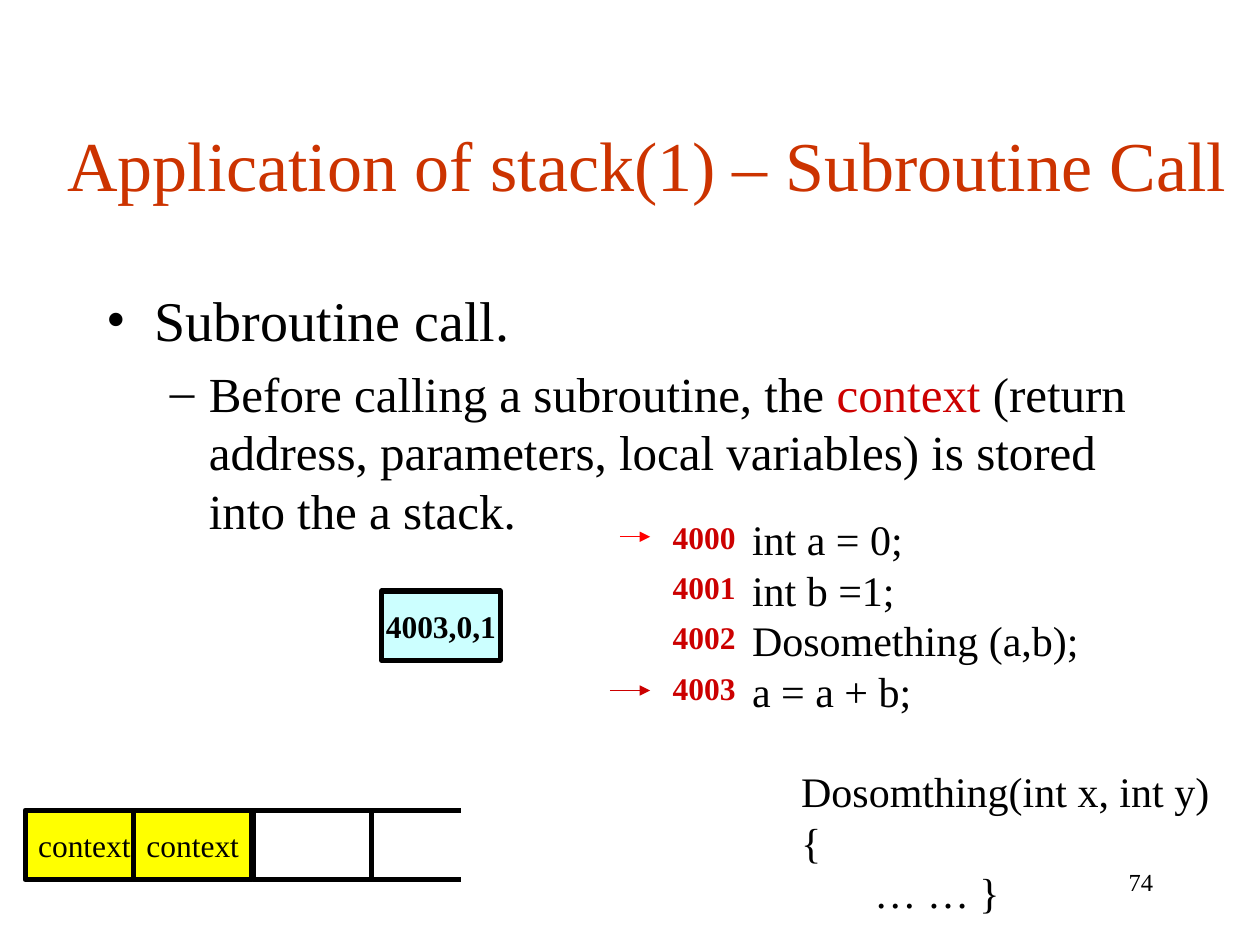
from dataclasses import dataclass

from lxml import etree
from pptx import Presentation
from pptx.dml.color import RGBColor
from pptx.enum import shapes, text
from pptx.oxml.ns import qn
from pptx.util import Inches, Pt


@dataclass(frozen=True)
class Theme:
    font: str = "Times New Roman"
    title: str = "CC3300"
    ink: str = "000000"
    accent: str = "CC0000"
    arrow: str = "FF0000"
    stored: str = "FFFF00"
    frame: str = "CCFFFF"
    title_pt: int = 40
    bullet_pt: int = 32
    sub_pt: int = 28
    code_pt: int = 24
    label_pt: int = 18
    number_pt: int = 14
    border_pt: float = 3
    arrow_pt: float = 0.75


T = Theme()
CELL_W, CELL_H = 0.94, 0.55


def add_run(p, words, size, color=T.ink, bold=False):
    r = p.add_run()
    r.text = words
    r.font.name, r.font.size, r.font.bold = T.font, Pt(size), bold
    r.font.color.rgb = RGBColor.from_string(color)


def add_text(slide, box, lines, size, color=T.ink, bold=False, wrap=False,
             align=text.PP_ALIGN.LEFT):
    tf = slide.shapes.add_textbox(*map(Inches, box)).text_frame
    tf.word_wrap = wrap
    for i, line in enumerate(lines):
        p = tf.paragraphs[0] if i == 0 else tf.add_paragraph()
        p.alignment = align
        add_run(p, line, size, color, bold)


def add_line(slide, start, end, color, width, arrow=False):
    c = slide.shapes.add_connector(shapes.MSO_CONNECTOR.STRAIGHT,
                                   *map(Inches, (*start, *end)))
    c.line.color.rgb = RGBColor.from_string(color)
    c.line.width = Pt(width)
    if arrow:
        etree.SubElement(c.line._get_or_add_ln(), qn("a:tailEnd"), type="triangle")
    etree.SubElement(c._element.spPr, qn("a:effectLst"))


def add_cell(slide, left, top, label="", fill=None, bold=False):
    s = slide.shapes.add_shape(shapes.MSO_SHAPE.RECTANGLE,
                               *map(Inches, (left, top, CELL_W, CELL_H)))
    s.shadow.inherit = False
    if fill:
        s.fill.solid()
        s.fill.fore_color.rgb = RGBColor.from_string(fill)
    else:
        s.fill.background()
    s.line.color.rgb = RGBColor.from_string(T.ink)
    s.line.width = Pt(T.border_pt)
    if label:
        tf = s.text_frame
        tf.word_wrap = False
        tf.vertical_anchor = text.MSO_ANCHOR.MIDDLE
        tf.paragraphs[0].alignment = text.PP_ALIGN.CENTER
        add_run(tf.paragraphs[0], label, T.label_pt, bold=bold)


def add_title(slide, box, words):
    s = slide.shapes.title
    s.left, s.top, s.width, s.height = map(Inches, box)
    tf = s.text_frame
    tf.vertical_anchor = text.MSO_ANCHOR.MIDDLE
    tf.paragraphs[0].alignment = text.PP_ALIGN.CENTER
    add_run(tf.paragraphs[0], words, T.title_pt, T.title)


def set_bullet(p, char, left, hanging, level=0):
    p.level = level
    pPr = p._p.get_or_add_pPr()
    pPr.set("marL", str(Inches(left)))
    pPr.set("indent", str(-Inches(hanging)))
    etree.SubElement(pPr, qn("a:buFont"), typeface=T.font)
    etree.SubElement(pPr, qn("a:buChar"), char=char)


def add_bullets(slide, box):
    tf = slide.shapes.add_textbox(*map(Inches, box)).text_frame
    tf.word_wrap = True
    tf.margin_top = Inches(0.1)
    p = tf.paragraphs[0]
    set_bullet(p, "•", 0.38, 0.38)
    add_run(p, "Subroutine call.", T.bullet_pt)
    p = tf.add_paragraph()
    set_bullet(p, "–", 0.81, 0.31, level=1)
    p.space_before = Pt(0.2 * T.sub_pt)
    add_run(p, "Before calling a subroutine, the ", T.sub_pt)
    add_run(p, "context", T.sub_pt, T.accent)
    add_run(p, " (return address, parameters, local variables) is stored "
               "into the a stack.", T.sub_pt)


def add_stack(slide, left, top, right):
    """Three cells in a row, open at the right-hand end."""
    cells = ((0, "context", T.stored), (0.86, "context", T.stored), (1.81, "", None))
    for offset, label, fill in cells:
        add_cell(slide, left + offset, top, label, fill)
    end = left + cells[-1][0] + CELL_W
    for y in (top, top + CELL_H):
        add_line(slide, (end, y), (right, y), T.ink, T.border_pt)


def add_program(slide, left, top):
    """Code lines with their addresses and the arrows that mark call and return."""
    add_text(slide, (left + 0.63, top, 2.79, 1.7),
             ("int a = 0;", "int b =1;", "Dosomething (a,b);", "a = a + b;"), T.code_pt)
    for i in range(4):
        add_text(slide, (left, top + 0.03 + 0.4 * i, 0.7, 0.4), [str(4000 + i)],
                 T.label_pt, T.accent, bold=True)
    for x, y, color in ((0.32, 0.23, T.arrow), (0.4, 1.45, T.accent)):
        add_line(slide, (left - x, top + y), (left - 0.08, top + y),
                 color, T.arrow_pt, arrow=True)


def main():
    prs = Presentation()
    prs.slide_width, prs.slide_height = Inches(10), Inches(7.5)
    slide = prs.slides.add_slide(prs.slide_layouts[5])
    add_title(slide, (0.27, 0.67, 9.73, 1.25),
              "Application of stack(1) – Subroutine Call")
    add_bullets(slide, (0.75, 2.17, 8.5, 4.5))
    add_stack(slide, 0.2, 6.43, 3.66)
    add_cell(slide, 3.03, 4.69, "4003,0,1", T.frame, bold=True)
    add_program(slide, 5.24, 4.03)
    add_text(slide, (6.26, 6.03, 3.44, 1.3),
             ("Dosomthing(int x, int y)", "{", "       … … }"), T.code_pt)
    add_text(slide, (7.17, 6.83, 2.08, 0.5), ["74"], T.number_pt, wrap=True,
             align=text.PP_ALIGN.RIGHT)
    prs.save("out.pptx")


if __name__ == "__main__":
    main()
